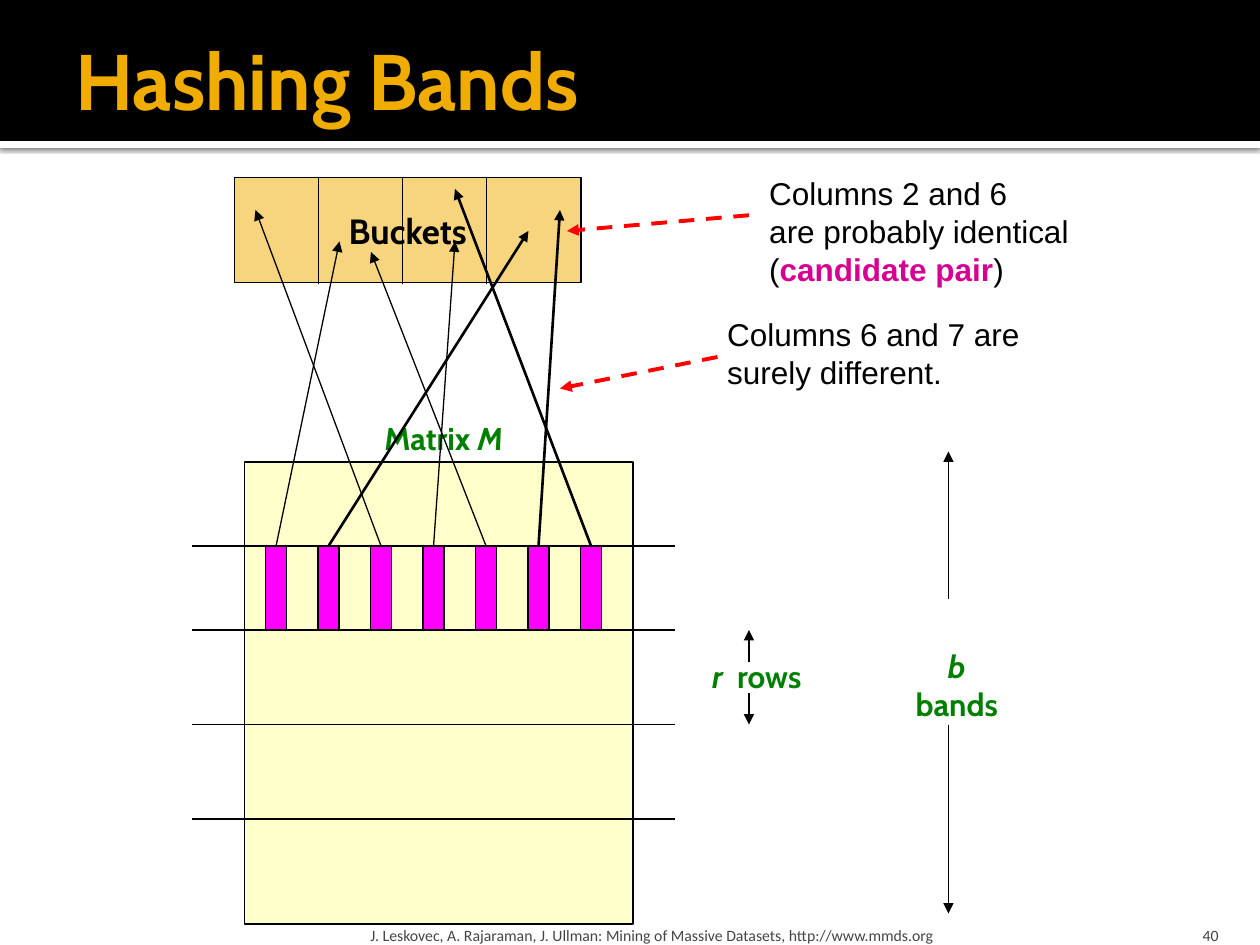
from lxml import etree
from pptx import Presentation
from pptx.dml.color import RGBColor
from pptx.enum import dml, shapes, text
from pptx.oxml.ns import qn
from pptx.util import Pt

BLACK = RGBColor(0, 0, 0)
WHITE = RGBColor(255, 255, 255)
GOLD = RGBColor(0xF0, 0xAD, 0x00)
YELLOW = RGBColor(0xFF, 0xFF, 0x99)
PINK = RGBColor(0xFF, 0x00, 0xFF)
GREEN = RGBColor(0x00, 0x80, 0x00)
ROSE = RGBColor(0xD6, 0x00, 0x93)
RED = RGBColor(0xFF, 0x00, 0x00)
GRAY = RGBColor(0x45, 0x45, 0x45)
LEFT, MID, RIGHT = text.PP_ALIGN.LEFT, text.PP_ALIGN.CENTER, text.PP_ALIGN.RIGHT
TOP, CORE, BASE = text.MSO_ANCHOR.TOP, text.MSO_ANCHOR.MIDDLE, text.MSO_ANCHOR.BOTTOM

deck = Presentation()
deck.slide_width, deck.slide_height = Pt(720), Pt(540)
slide = deck.slides.add_slide(deck.slide_layouts[6])


def write(frame, rows, font, size, align=LEFT, anchor=TOP, wrap=False):
    frame.word_wrap = wrap
    frame.vertical_anchor = anchor
    for n, row in enumerate(rows):
        para = frame.add_paragraph() if n else frame.paragraphs[0]
        para.alignment = align
        for words, color, bold, slant in row:
            run = para.add_run()
            run.text = words
            run.font.name, run.font.size = font, Pt(size)
            run.font.bold, run.font.italic = bold, slant
            run.font.color.rgb = color


def draw(start, end, color=BLACK, width=0.75, head=True, dash=False):
    line = slide.shapes.add_connector(
        shapes.MSO_CONNECTOR.STRAIGHT, *[Pt(v) for v in (*start, *end)])
    line.line.color.rgb, line.line.width = color, Pt(width)
    if dash:
        line.line.dash_style = dml.MSO_LINE.DASH
    if head:
        etree.SubElement(line.line._get_or_add_ln(), qn("a:tailEnd"), type="triangle")
    etree.SubElement(line._element.spPr, qn("a:effectLst"))
    return line


rects = [
    (0, 80.5, 720, 4, WHITE, False, False),
    (0, 0, 720, 80.5, BLACK, False, False),
    (139.75, 264, 222, 264, YELLOW, True, True),
    (134, 101.5, 198, 60, GOLD, True, True),
]
rects += [(151.75 + 30 * n, 312, 12, 48, PINK, False, True) for n in range(7)]
made = []
for x, y, w, h, color, clear, edge in rects:
    rect = slide.shapes.add_shape(
        shapes.MSO_SHAPE.RECTANGLE, Pt(x), Pt(y), Pt(w), Pt(h))
    rect.shadow.inherit = False
    rect.fill.solid()
    rect.fill.fore_color.rgb = color
    if clear:
        tint = rect._element.spPr.find(".//" + qn("a:srgbClr"))
        etree.SubElement(tint, qn("a:alpha"), val="50000")
    if edge:
        rect.line.color.rgb, rect.line.width = BLACK, Pt(0.75)
    else:
        rect.line.fill.background()
    made.append(rect)
strip, band, matrix, buckets, *bars = made

glow = etree.SubElement(
    strip._element.spPr.find(qn("a:effectLst")), qn("a:outerShdw"),
    blurRad=str(Pt(2.5)), dist=str(Pt(0.8)), dir="5400000", rotWithShape="0")
shade = etree.SubElement(glow, qn("a:srgbClr"), val="000000")
etree.SubElement(shade, qn("a:alpha"), val="60000")

write(buckets.text_frame, [[("Buckets", BLACK, True, False)]], "Cabin", 20, MID, CORE)

labels = [
    (211, 236, 85, 29, [[("Matrix ", GREEN, True, False), ("M", GREEN, True, True)]]),
    (399.5, 372, 66, 29, [[("r ", GREEN, True, True), (" rows", GREEN, True, False)]]),
    (507.5, 366, 78.5, 51, [[("b", GREEN, True, True)], [("bands", GREEN, True, False)]]),
]
for x, y, w, h, rows in labels:
    box = slide.shapes.add_textbox(Pt(x), Pt(y), Pt(w), Pt(h))
    write(box.text_frame, rows, "Cabin", 18, MID)

notes = [
    (432.5, 96, 191.5, 72, [
        [("Columns 2 and 6", BLACK, False, False)],
        [("are probably identical", BLACK, False, False)],
        [("(", BLACK, False, False), ("candidate pair", ROSE, True, False),
         (")", BLACK, False, False)]]),
    (408.5, 176.5, 183, 51, [
        [("Columns 6 and 7 are", BLACK, False, False)],
        [("surely different.", BLACK, False, False)]]),
]
for x, y, w, h, rows in notes:
    box = slide.shapes.add_textbox(Pt(x), Pt(y), Pt(w), Pt(h))
    write(box.text_frame, rows, "Arial", 18)

for y in (312, 360, 414, 468):
    draw((110, y), (386, y), head=False)
for x in (182, 230, 278):
    draw((x, 101.5), (x, 162), head=False)
for x, y, end in ((428, 378, 360), (428, 396, 414), (542, 342, 258), (542, 414, 522)):
    draw((x, y), (x, end))

hits = [(194, 138), (302, 132), (146, 120), (260, 138), (212, 144), (320, 120), (260, 108)]
for n, (bar, hit) in enumerate(zip(bars, hits)):
    ray = draw((157.75 + 30 * n, 312), hit, width=1.5 if n in (1, 5, 6) else 0.75)
    ray.begin_connect(bar, 0)

for start, end in (((428, 123), (324, 132)), ((410, 204), (320, 222))):
    draw(start, end, RED, 2.25, dash=True)

frames = [
    (36, 12, 648, 66, "Hashing Bands", GOLD, True, "Cabin", 45, LEFT, CORE,
     (7.2, 3.6, 3.6, 3.6)),
    (208, 518.5, 433.5, 21.5,
     "J. Leskovec, A. Rajaraman, J. Ullman: Mining of Massive Datasets, http://www.mmds.org",
     GRAY, False, "Calibri", 9, LEFT, BASE, (3.6, 3.6, 3.6, 0)),
    (646, 518.5, 57.5, 21.5, "40", GRAY, False, "Calibri", 9, RIGHT, BASE,
     (7.2, 3.6, 7.2, 0)),
]
for x, y, w, h, words, color, bold, font, size, align, anchor, pads in frames:
    frame = slide.shapes.add_textbox(Pt(x), Pt(y), Pt(w), Pt(h)).text_frame
    frame.margin_left, frame.margin_top, frame.margin_right, frame.margin_bottom = [
        Pt(v) for v in pads]
    write(frame, [[(words, color, bold, False)]], font, size, align, anchor, True)

deck.save("out.pptx")
